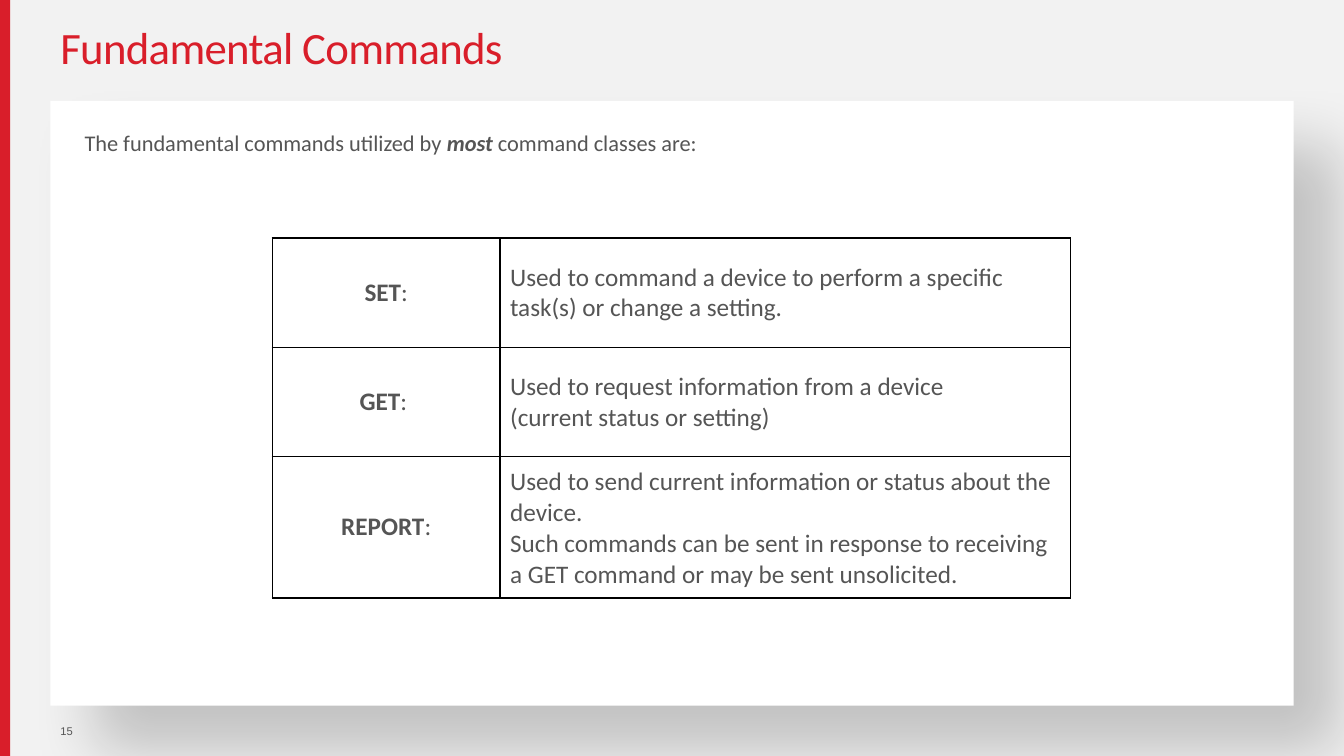
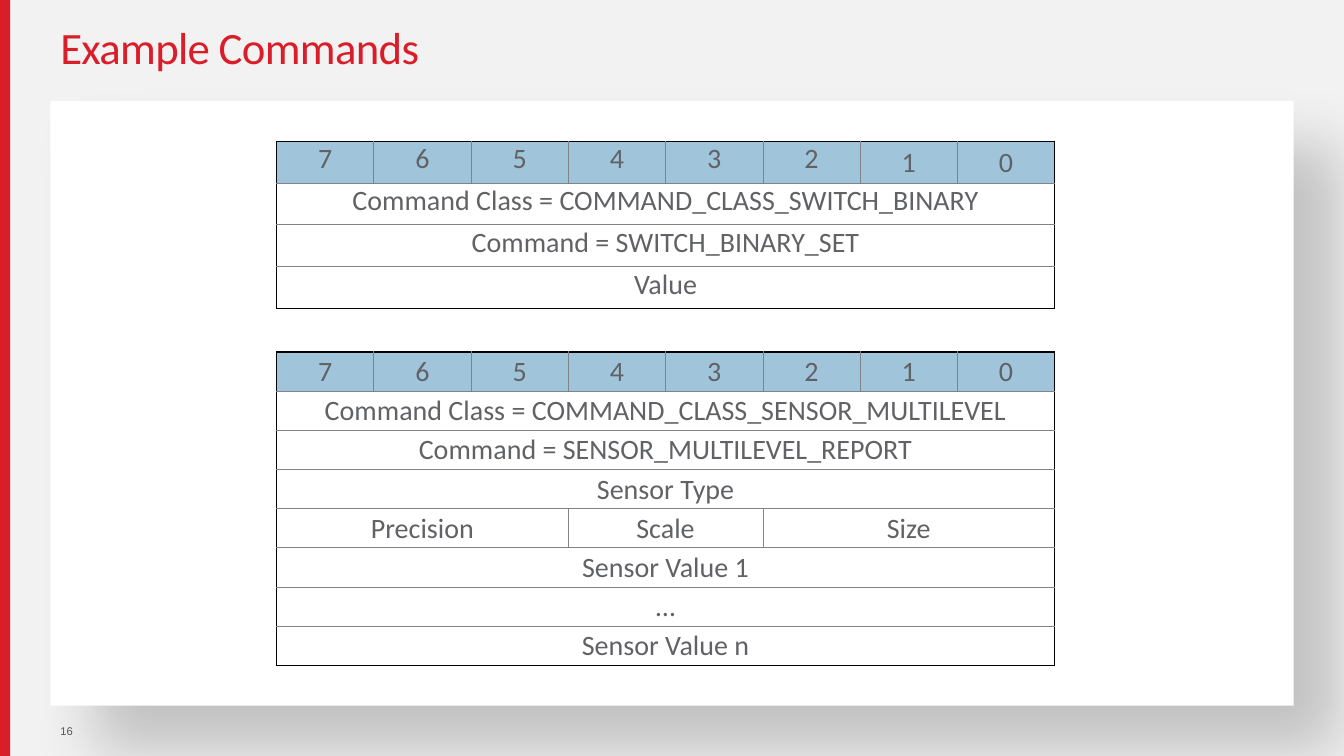
from lxml import etree
from pptx import Presentation
from pptx.dml.color import RGBColor
from pptx.enum import shapes, text
from pptx.oxml import ns
from pptx.util import Pt

RED, PAPER, WHITE, BLACK = "D91E2A", "F2F2F2", "FFFFFF", "000000"
BODY, FIELD, RULE, HEADER = "555555", "616266", "818388", "A0C4DA"
WIDTH, HEIGHT = 960, 540
CARD = (36, 72, 888, 432)
TITLE_BOX = (36, 0, 888, 72)
NUMBER_BOX = (36, 504, 25, 36)
MIDDLE, TOP = text.MSO_ANCHOR.MIDDLE, text.MSO_ANCHOR.TOP
LEFT, CENTER = text.PP_ALIGN.LEFT, text.PP_ALIGN.CENTER
BITS = [(str(bit), 1) for bit in range(7, -1, -1)]
STRONG = {"bold": True}


def paint(fill, colour):
    fill.solid()
    fill.fore_color.rgb = RGBColor.from_string(colour)


def write(frame, paragraphs, size=18, font="Calibri", colour=BODY, align=LEFT,
          line_spacing=None, tracking=0):
    frame.word_wrap = True
    if isinstance(paragraphs, str):
        paragraphs = [paragraphs]
    for index, runs in enumerate(paragraphs):
        paragraph = frame.add_paragraph() if index else frame.paragraphs[0]
        paragraph.alignment = align
        if line_spacing:
            paragraph.line_spacing = line_spacing
        for words, emphasis in [(runs, {})] if isinstance(runs, str) else runs:
            run = paragraph.add_run()
            run.text = words
            run.font.size, run.font.name = Pt(size), font
            run.font.color.rgb = RGBColor.from_string(colour)
            run.font.bold = emphasis.get("bold", False)
            run.font.italic = emphasis.get("italic", False)
            if tracking:
                run.font._element.set("spc", str(int(tracking * 100)))


def text_box(slide, box, words, anchor=TOP, margins=(7.2, 3.6, 7.2, 3.6), **style):
    frame = slide.shapes.add_textbox(*map(Pt, box)).text_frame
    set_margins(frame, margins)
    frame.vertical_anchor = anchor
    write(frame, words, **style)


def set_margins(holder, margins):
    holder.margin_left, holder.margin_top, holder.margin_right, holder.margin_bottom = map(Pt, margins)


def panel(slide, box, colour):
    block = slide.shapes.add_shape(shapes.MSO_SHAPE.RECTANGLE, *map(Pt, box))
    block.shadow.inherit = False
    paint(block.fill, colour)
    block.line.fill.background()
    return block


def cast_shadow(block, colour, opacity, blur, distance, degrees):
    effects = block._element.spPr.find(ns.qn("a:effectLst"))
    shadow = etree.SubElement(effects, ns.qn("a:outerShdw"), blurRad=str(Pt(blur)),
                              dist=str(Pt(distance)), dir=str(degrees * 60000),
                              algn="tl", rotWithShape="0")
    tone = etree.SubElement(shadow, ns.qn("a:srgbClr"), val=colour)
    etree.SubElement(tone, ns.qn("a:alpha"), val=str(opacity * 1000))


def border(cell, side, colour, width):
    line = etree.SubElement(cell._tc.get_or_add_tcPr(), ns.qn("a:ln" + side), w=str(Pt(width)))
    solid = etree.SubElement(line, ns.qn("a:solidFill"))
    etree.SubElement(solid, ns.qn("a:srgbClr"), val=colour)


def base_slide(deck, title, number):
    slide = deck.slides.add_slide(deck.slide_layouts[6])
    paint(slide.background.fill, PAPER)
    panel(slide, (0, 0, 7.2, HEIGHT), RED)
    cast_shadow(panel(slide, CARD, WHITE), BLACK, 20, 45, 45, 45)
    text_box(slide, TITLE_BOX, title, anchor=MIDDLE, size=32, colour=RED,
             line_spacing=0.9, tracking=-0.5)
    text_box(slide, NUMBER_BOX, str(number), anchor=MIDDLE,
             margins=(7.2, 3.6, 0, 3.6), size=8, font="Arial")
    return slide


def grid(slide, box, widths, heights, margins):
    table = slide.shapes.add_table(len(heights), len(widths), *map(Pt, box)).table
    table.first_row = table.horz_banding = False
    for column, width in zip(table.columns, widths):
        column.width = Pt(width)
    for row, height in zip(table.rows, heights):
        row.height = Pt(height)
    for cell in table.iter_cells():
        set_margins(cell, margins)
    return table


def definition_table(slide, box, widths, heights, definitions):
    table = grid(slide, box, widths, heights, [7.2] * 4)
    for row, (command, meaning) in enumerate(definitions):
        for column, (words, align) in enumerate([([command], CENTER), (meaning, LEFT)]):
            cell = table.cell(row, column)
            for side in "LRTB":
                border(cell, side, BLACK, 1)
            cell.fill.background()
            cell.vertical_anchor = MIDDLE
            write(cell.text_frame, words, align=align)


def frame_table(slide, box, rows, middle_from=0):
    full = len(BITS)
    rows = [BITS] + rows
    table = grid(slide, box, [box[2] / full] * full, [box[3] / len(rows)] * len(rows),
                 (0.7, 0.7, 0.7, 0))
    for row, fields in enumerate(rows):
        start = 0
        for words, span in fields:
            end = start + span
            outer = {"L": start == 0, "R": end == full, "T": row == 0, "B": row == len(rows) - 1}
            for column in range(start, end):
                cell = table.cell(row, column)
                for side, is_edge in outer.items():
                    if column == start or side in "TB" or (side == "R" and column == end - 1):
                        border(cell, side, BLACK if is_edge else RULE, 1 if is_edge else 0.5)
                if row == 0:
                    paint(cell.fill, HEADER)
                else:
                    cell.fill.background()
            field = table.cell(row, start)
            if span > 1:
                field.merge(table.cell(row, end - 1))
            field.vertical_anchor = MIDDLE if start >= middle_from else TOP
            write(field.text_frame, words, size=20, colour=FIELD, align=CENTER)
            start = end


def fundamental_commands(deck):
    slide = base_slide(deck, "Fundamental Commands", 15)
    left, top, width, height = CARD
    text_box(slide, (left + 17.3, top + 18, width - 36, height - 36),
             [[("The fundamental commands utilized by ", {}),
               ("most", {"bold": True, "italic": True}),
               (" command classes are: ", {})]], size=16, line_spacing=0.95)
    definition_table(slide, (left + 158.5, top + 98, 570.2, 257), [162.7, 407.5], [78.5, 77.8, 100.8], [
        ([("SET", STRONG), (":", {})],
         ["Used to command a device to perform a specific task(s) or change a setting."]),
        ([("GET", STRONG), (": ", {})],
         ["Used to request information from a device ", "(current status or setting)"]),
        ([("REPORT", STRONG), (":", {})],
         ["Used to send current information or status about the device. ",
          "Such commands can be sent in response to receiving a GET command or may be sent unsolicited. "]),
    ])


def example_commands(deck):
    slide = base_slide(deck, "Example Commands", 16)
    left, top = CARD[0] + 161.5, CARD[1] + 28.8
    frame_table(slide, (left, top, 556, 119.5), [
        [("Command Class = COMMAND_CLASS_SWITCH_BINARY", 8)],
        [("Command = SWITCH_BINARY_SET", 8)],
        [("Value", 8)],
    ], middle_from=6)
    frame_table(slide, (left, top + 150.6, 556, 224), [
        [("Command Class = COMMAND_CLASS_SENSOR_MULTILEVEL", 8)],
        [("Command = SENSOR_MULTILEVEL_REPORT", 8)],
        [("Sensor Type", 8)],
        [("Precision", 3), ("Scale", 2), ("Size", 3)],
        [("Sensor Value 1", 8)],
        [("…", 8)],
        [("Sensor Value n", 8)],
    ])


deck = Presentation()
deck.slide_width, deck.slide_height = Pt(WIDTH), Pt(HEIGHT)
fundamental_commands(deck)
example_commands(deck)
deck.save("out.pptx")
